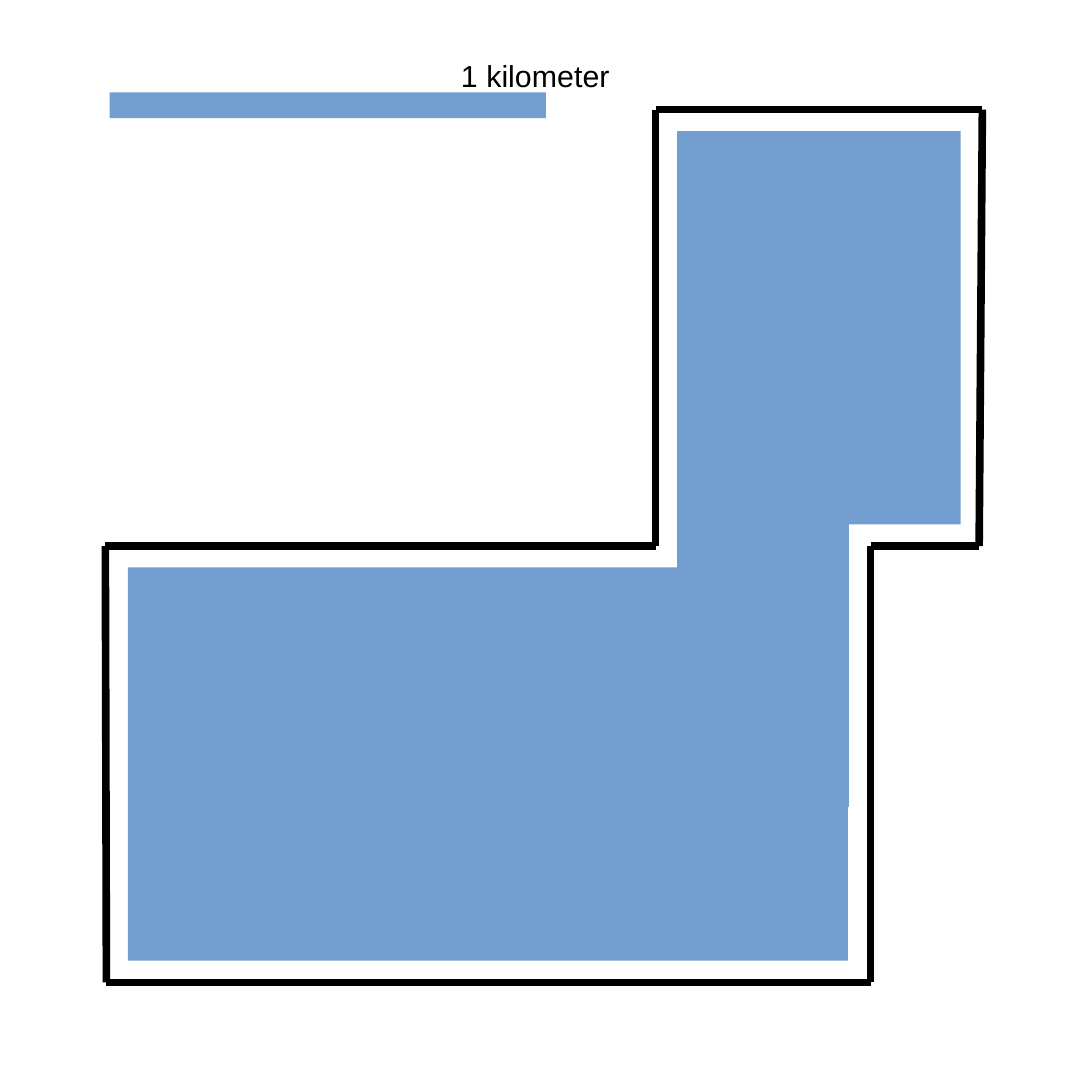
import itertools

import pptx
import pptx.dml.color
import pptx.enum.shapes
import pptx.enum.text
import pptx.oxml.ns
import pptx.util
from lxml import etree

Cm = pptx.util.Cm
COLORS = {"area": "729FCF", "ink": "000000"}


class Plan:
    """Holds the style and the current slide."""

    font = "Arial"
    size = 8

    def __init__(self, slide):
        self.s = slide

    def color(self, name):
        return pptx.dml.color.RGBColor.from_string(COLORS[name])

    def block(self, x, y, w, h):
        sp = self.s.shapes.add_shape(
            pptx.enum.shapes.MSO_SHAPE.RECTANGLE, Cm(x), Cm(y), Cm(w), Cm(h))
        sp.shadow.inherit = False
        sp.fill.solid()
        sp.fill.fore_color.rgb = self.color("area")
        sp.line.fill.background()

    def label(self, text, x, y, w, h):
        sp = self.s.shapes.add_textbox(Cm(x), Cm(y), Cm(w), Cm(h))
        tf = sp.text_frame
        tf.word_wrap = True
        tf.auto_size = pptx.enum.text.MSO_AUTO_SIZE.SHAPE_TO_FIT_TEXT
        p = tf.paragraphs[0]
        r = p.add_run()
        r.text = text
        r.font.name = self.font
        r.font.size = pptx.util.Pt(self.size)
        r.font.color.rgb = self.color("ink")

    def wall(self, start, end):
        sp = self.s.shapes.add_connector(
            pptx.enum.shapes.MSO_CONNECTOR.STRAIGHT,
            *(Cm(v) for v in start + end))
        sp.line.color.rgb = self.color("ink")
        sp.line.width = pptx.util.Pt(0)
        etree.SubElement(sp._element.spPr, pptx.oxml.ns.qn("a:effectLst"))


prs = pptx.Presentation()
prs.slide_width = prs.slide_height = Cm(10.16)
plan = Plan(prs.slides.add_slide(prs.slide_layouts[6]))

# Scale bar
plan.block(1.02, 0.86, 4.06, 0.24)
plan.label("1 kilometer", 4.04, 0.41, 2.06, 1.19)

# Filled area
for box in [(1.19, 5.28, 6.7, 3.66),
            (6.3, 1.22, 2.64, 3.66),
            (6.3, 4.67, 1.6, 2.84)]:
    plan.block(*box)

# Closed boundary around the area
corners = [(0.99, 9.14), (8.1, 9.14), (8.1, 5.08), (9.11, 5.08),
           (9.14, 1.02), (6.1, 1.02), (6.1, 5.08), (0.98, 5.08)]
for start, end in itertools.pairwise(corners + corners[:1]):
    plan.wall(start, end)

prs.save("out.pptx")
